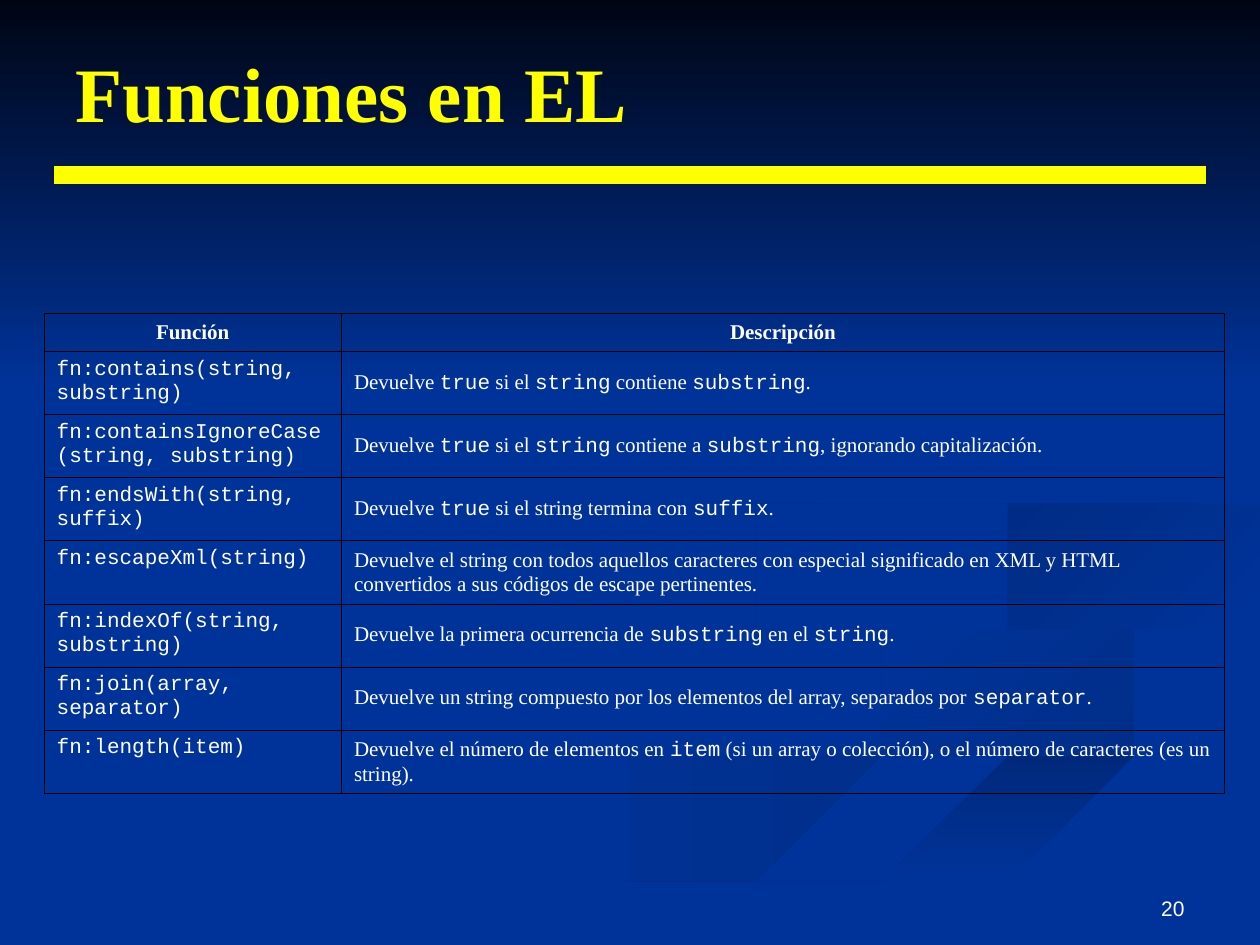
from lxml import etree
from pptx import Presentation
from pptx.dml.color import RGBColor
from pptx.enum.shapes import MSO_CONNECTOR, MSO_SHAPE
from pptx.enum.text import MSO_ANCHOR, PP_ALIGN
from pptx.oxml.ns import qn
from pptx.util import Inches, Pt

LEFT, CENTER, RIGHT = PP_ALIGN.LEFT, PP_ALIGN.CENTER, PP_ALIGN.RIGHT
TOP, MIDDLE, BOTTOM = MSO_ANCHOR.TOP, MSO_ANCHOR.MIDDLE, MSO_ANCHOR.BOTTOM
STRAIGHT, RECTANGLE = MSO_CONNECTOR.STRAIGHT, MSO_SHAPE.RECTANGLE
SERIF, MONO, SANS = "Times New Roman", "Courier New", "Arial"
WIDTH, HEIGHT = 10, 7.5
COLORS = {
    "base": "003399", "night": "000514", "accent": "FFFF00",
    "text": "FFFFFF", "grid": "000000",
    "shade1": "002E8A", "shade2": "00297C", "shade3": "002C85", "shade4": "002B81",
}

# Content: backticks enclose code words
TITLE = "Funciones en EL"
PAGE = "20"
HEADERS = ("Función", "Descripción")
FUNCTIONS = [
    ("fn:contains(string, substring)",
     "Devuelve `true` si el `string` contiene `substring`."),
    ("fn:containsIgnoreCase(string, substring)",
     "Devuelve `true` si el `string` contiene a `substring`, ignorando capitalización."),
    ("fn:endsWith(string, suffix)",
     "Devuelve `true` si el string termina con `suffix`."),
    ("fn:escapeXml(string)",
     "Devuelve el string con todos aquellos caracteres con especial significado en "
     "XML y HTML convertidos a sus códigos de escape pertinentes."),
    ("fn:indexOf(string, substring)",
     "Devuelve la primera ocurrencia de `substring` en el `string`."),
    ("fn:join(array, separator)",
     "Devuelve un string compuesto por los elementos del array, separados por `separator`."),
    ("fn:length(item)",
     "Devuelve el número de elementos en `item` (si un array o colección), "
     "o el número de caracteres (es un string)."),
]

# Background ribbons: start colour, end colour, clockwise angle, two edge curves
RIBBONS = [
    ("shade1", "base", 180,
     [(5.75, 4.59), (6.1, 5), (7.4, 5.4), (7.8, 5.79), (5.4, 6.49), (3, 7.49)],
     [(3.61, 7.49), (5.3, 6.75), (7.6, 6.13), (7.95, 5.67), (6.6, 5.13), (5.75, 4.6)]),
    ("shade1", "base", 225,
     [(7.24, 4.64), (7.66, 5.12), (8.8, 5.49), (9.18, 5.81), (8.94, 6.05)],
     [(8.94, 6.05), (9.43, 5.7), (8.7, 5.3), (7.45, 4.9), (7.24, 4.64)]),
    ("shade2", "base", 90,
     [(5.03, 7.49), (6.3, 6.93), (7.64, 6.47), (9.98, 5.81)],
     [(9.98, 6.09), (7.85, 6.61), (6.3, 7.19), (5.71, 7.49)]),
    ("base", "base", 0,
     [(9.99, 3.87), (8.3, 4.15), (7.25, 4.64), (8.3, 5.19), (9.43, 5.7), (7.8, 6.34),
      (4.77, 7.49)],
     [(5.03, 7.49), (6.96, 6.69), (9.99, 5.81)],
     [(9.99, 5.38), (8.32, 4.98), (7.81, 4.6), (8.5, 4.27), (9.99, 4.02)]),
    ("base", "shade3", 225,
     [(9.98, 4.02), (8.5, 4.27), (7.81, 4.6), (8.26, 4.96)],
     [(8.26, 4.96), (8.05, 4.72), (8.6, 4.43), (9.98, 4.2)]),
    ("base", "shade4", 225,
     [(7.62, 2.33), (8.64, 2.91), (8.94, 3.44), (8.4, 3.96), (6.83, 4.3), (5.93, 4.7),
      (6.22, 5)],
     [(6.22, 5), (5.77, 4.62), (6.49, 4.2), (8.3, 3.82), (8.89, 3.35), (8.46, 2.79),
      (7.62, 2.33)]),
]


def rgb(name):
    return RGBColor.from_string(COLORS[name])


def write(frame, text, font=SERIF, size=12, color="text", bold=False, align=LEFT):
    """Fill a text frame, setting words between backticks in the code font."""
    frame.word_wrap = True
    paragraph = frame.paragraphs[0]
    paragraph.alignment = align
    for i, part in enumerate(text.split("`")):
        run = paragraph.add_run()
        run.text = part
        run.font.name = MONO if i % 2 else font
        run.font.size, run.font.bold = Pt(size), bold
        run.font.color.rgb = rgb(color)


def add_label(slide, box, text, anchor, **style):
    frame = slide.shapes.add_textbox(*map(Inches, box)).text_frame
    frame.vertical_anchor = anchor
    write(frame, text, **style)


def smooth(knots, steps=6):
    """Points of a Catmull-Rom curve through the knots."""
    padded = [knots[0], *knots, knots[-1]]
    curve = []
    for before, here, there, after in zip(padded, padded[1:], padded[2:], padded[3:]):
        for t in (step / steps for step in range(steps)):
            curve.append(tuple(
                b + ((c - a) * t + (2 * a - 5 * b + 4 * c - d) * t ** 2
                     + (3 * b - a - 3 * c + d) * t ** 3) / 2
                for a, b, c, d in zip(before, here, there, after)))
    return curve + [knots[-1]]


def paint(shape, start, end, angle):
    shape.shadow.inherit = False
    shape.line.fill.background()
    if start == end:
        shape.fill.solid()
        shape.fill.fore_color.rgb = rgb(start)
        return
    shape.fill.gradient()
    shape.fill.gradient_angle = 360 - angle
    for stop, name, position in zip(shape.fill.gradient_stops, (start, end), (0, 1)):
        stop.color.rgb, stop.position = rgb(name), position


def add_ribbon(slide, start, end, angle, *edges):
    outline = [point for edge in edges for point in smooth(edge)]
    builder = slide.shapes.build_freeform(*outline[0], scale=Inches(1))
    builder.add_line_segments(outline[1:], close=True)
    paint(builder.convert_to_shape(), start, end, angle)


def add_borders(cell, width=0.34):
    properties = cell._tc.get_or_add_tcPr()
    for side in ("lnL", "lnR", "lnT", "lnB"):
        line = etree.SubElement(properties, qn("a:" + side), w=str(int(Pt(width))))
        fill = etree.SubElement(line, qn("a:solidFill"))
        etree.SubElement(fill, qn("a:srgbClr"), val=COLORS["grid"])


def add_function_table(slide):
    columns = (2.36, 7.01)
    heights = [0.3] + [0.5] * len(FUNCTIONS)
    box = (0.35, 2.49, sum(columns), sum(heights))
    table = slide.shapes.add_table(len(heights), len(columns), *map(Inches, box)).table
    table.first_row = table.horz_banding = False
    for column, width in zip(table.columns, columns):
        column.width = Inches(width)
    for r, entries in enumerate([HEADERS] + FUNCTIONS):
        table.rows[r].height = Inches(heights[r])
        for c, text in enumerate(entries):
            cell = table.cell(r, c)
            is_header, is_code = r == 0, r > 0 and c == 0
            add_borders(cell)
            cell.fill.background()
            cell.vertical_anchor = TOP if is_code else MIDDLE
            write(cell.text_frame, text, font=MONO if is_code else SERIF,
                  bold=is_header, align=CENTER if is_header else LEFT)


def main():
    deck = Presentation()
    deck.slide_width, deck.slide_height = Inches(WIDTH), Inches(HEIGHT)
    slide = deck.slides.add_slide(deck.slide_layouts[6])

    # Background
    slide.background.fill.solid()
    slide.background.fill.fore_color.rgb = rgb("base")
    for ribbon in RIBBONS:
        add_ribbon(slide, *ribbon)
    sky = slide.shapes.add_shape(RECTANGLE, *map(Inches, (0, 0, WIDTH, 3.08)))
    paint(sky, "night", "base", 90)

    # Title and rule
    rule = slide.shapes.add_connector(
        STRAIGHT, *map(Inches, (0.43, 1.39, WIDTH - 0.43, 1.39)))
    rule.line.color.rgb, rule.line.width = rgb("accent"), Pt(10)
    etree.SubElement(rule._element.spPr, qn("a:effectLst"))
    add_label(slide, (0.5, 0.3, WIDTH - 1, 0.85), TITLE, MIDDLE,
              size=44, color="accent", bold=True)

    # Table and page number
    add_function_table(slide)
    add_label(slide, (7.17, 7.14, 2.33, 0.22), PAGE, BOTTOM, font=SANS, align=RIGHT)
    deck.save("out.pptx")


if __name__ == "__main__":
    main()
